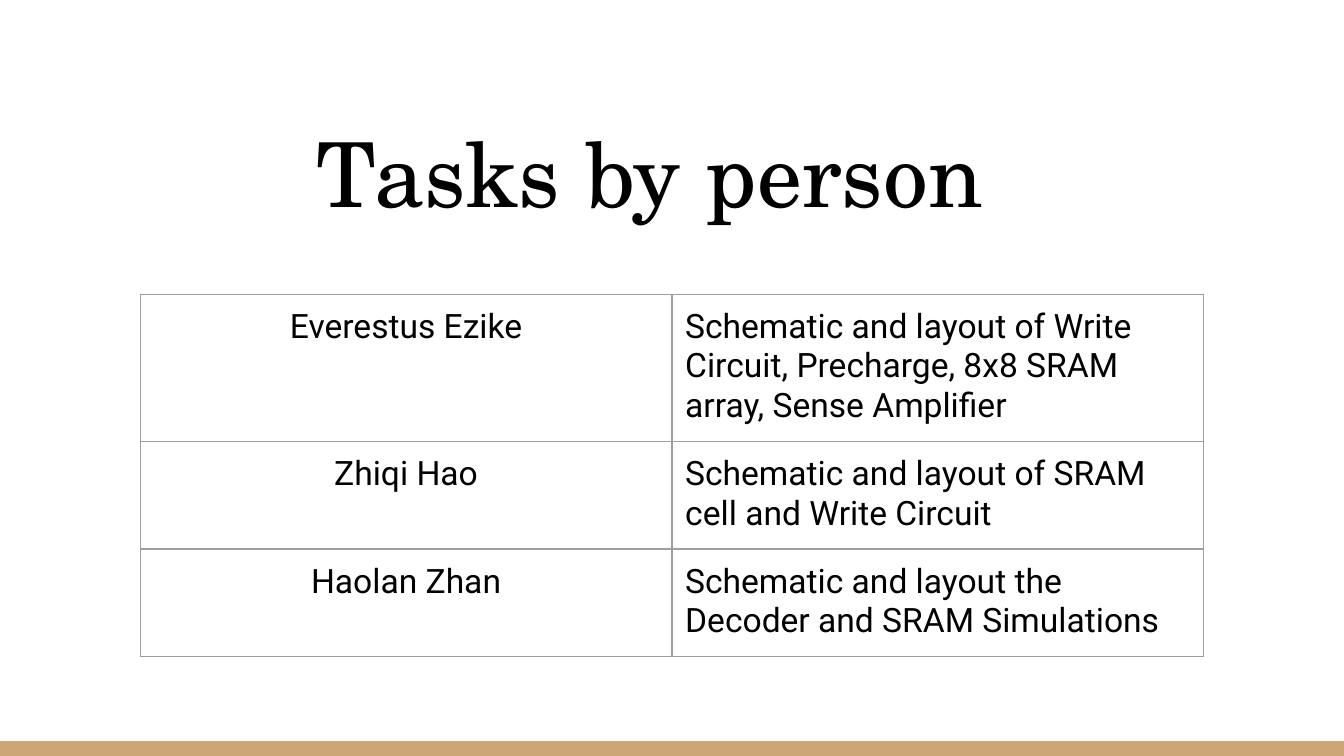
from typing import NamedTuple

from lxml.etree import SubElement
from pptx import Presentation
from pptx.dml.color import RGBColor
from pptx.enum.shapes import MSO_SHAPE
from pptx.enum.text import PP_ALIGN
from pptx.oxml.ns import qn
from pptx.util import Cm, Pt

BLACK = RGBColor(0x00, 0x00, 0x00)
WHITE = RGBColor(0xFF, 0xFF, 0xFF)
TAN = RGBColor(0xCC, 0xA6, 0x77)
GRAY = RGBColor(0x9E, 0x9E, 0x9E)
INSET = Cm(0.25)
COLUMN_WIDTH = Cm(10.05)


class Task(NamedTuple):
    person: str
    work: str
    height: float


TASKS = [
    Task("Everestus Ezike", "Schematic and layout of Write Circuit, Precharge, 8x8 SRAM array, Sense Amplifier", 2.78),
    Task("Zhiqi Hao", "Schematic and layout of SRAM cell and Write Circuit", 2.03),
    Task("Haolan Zhan", "Schematic and layout the Decoder and SRAM Simulations", 2.03),
]


def set_insets(holder) -> None:
    holder.margin_left = holder.margin_right = INSET
    holder.margin_top = holder.margin_bottom = INSET


def write(frame, text: str, font: str, size: int, align: PP_ALIGN) -> None:
    paragraph = frame.paragraphs[0]
    paragraph.text = text
    paragraph.alignment = align
    paragraph.font.name = font
    paragraph.font.size = Pt(size)
    paragraph.font.color.rgb = BLACK


def add_borders(cell) -> None:
    properties = cell._tc.get_or_add_tcPr()
    for position, side in enumerate(("a:lnL", "a:lnR", "a:lnT", "a:lnB")):
        line = SubElement(properties, qn(side), w=str(Pt(0.75)))
        fill = SubElement(line, qn("a:solidFill"))
        SubElement(fill, qn("a:srgbClr"), val=str(GRAY))
        properties.insert(position, line)


def fill_cell(cell, text: str, align: PP_ALIGN) -> None:
    cell.fill.solid()
    cell.fill.fore_color.rgb = WHITE
    set_insets(cell)
    write(cell.text_frame, text, "Roboto", 18, align)
    add_borders(cell)


def add_footer_band(slide) -> None:
    band = slide.shapes.add_shape(MSO_SHAPE.RECTANGLE, Cm(0), Cm(14.01), Cm(25.4), Cm(0.28))
    band.shadow.inherit = False
    band.fill.solid()
    band.fill.fore_color.rgb = TAN
    band.line.fill.background()


def add_title(slide) -> None:
    frame = slide.shapes.add_textbox(Cm(1.9), Cm(1.98), Cm(21.23), Cm(2.57)).text_frame
    frame.word_wrap = True
    set_insets(frame)
    write(frame, "Tasks by person ", "TeX Gyre Schola", 48, PP_ALIGN.CENTER)


def add_task_table(slide, tasks: list[Task]) -> None:
    height = Cm(sum(task.height for task in tasks))
    table = slide.shapes.add_table(len(tasks), 2, Cm(2.65), Cm(5.56), 2 * COLUMN_WIDTH, height).table
    table.first_row = table.horz_banding = False
    for column in table.columns:
        column.width = COLUMN_WIDTH
    for row, task in zip(table.rows, tasks):
        row.height = Cm(task.height)
        person, work = row.cells
        fill_cell(person, task.person, PP_ALIGN.CENTER)
        fill_cell(work, task.work, PP_ALIGN.LEFT)


def main() -> None:
    """Build the slide that lists each person's tasks."""
    deck = Presentation()
    deck.slide_width, deck.slide_height = Cm(25.4), Cm(14.29)
    slide = deck.slides.add_slide(deck.slide_layouts[6])
    add_footer_band(slide)
    add_title(slide)
    add_task_table(slide, TASKS)
    deck.save("out.pptx")


if __name__ == "__main__":
    main()
